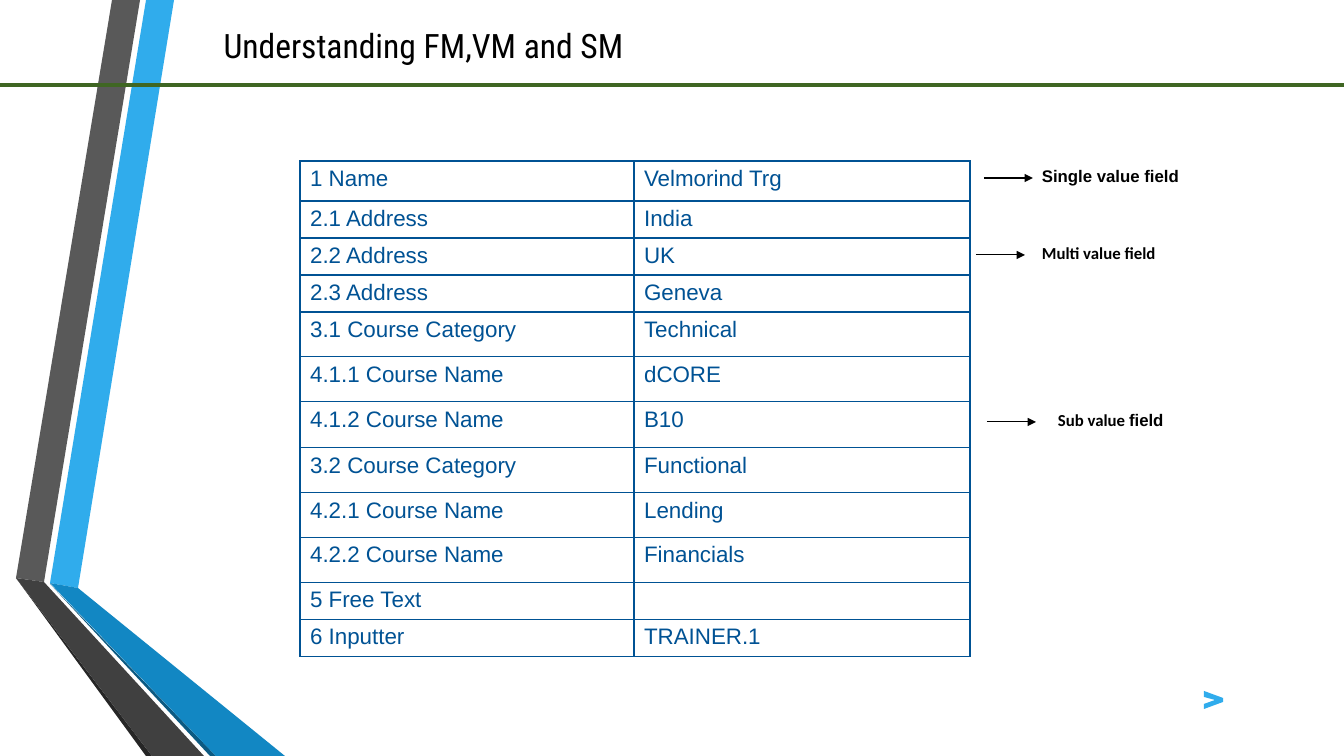
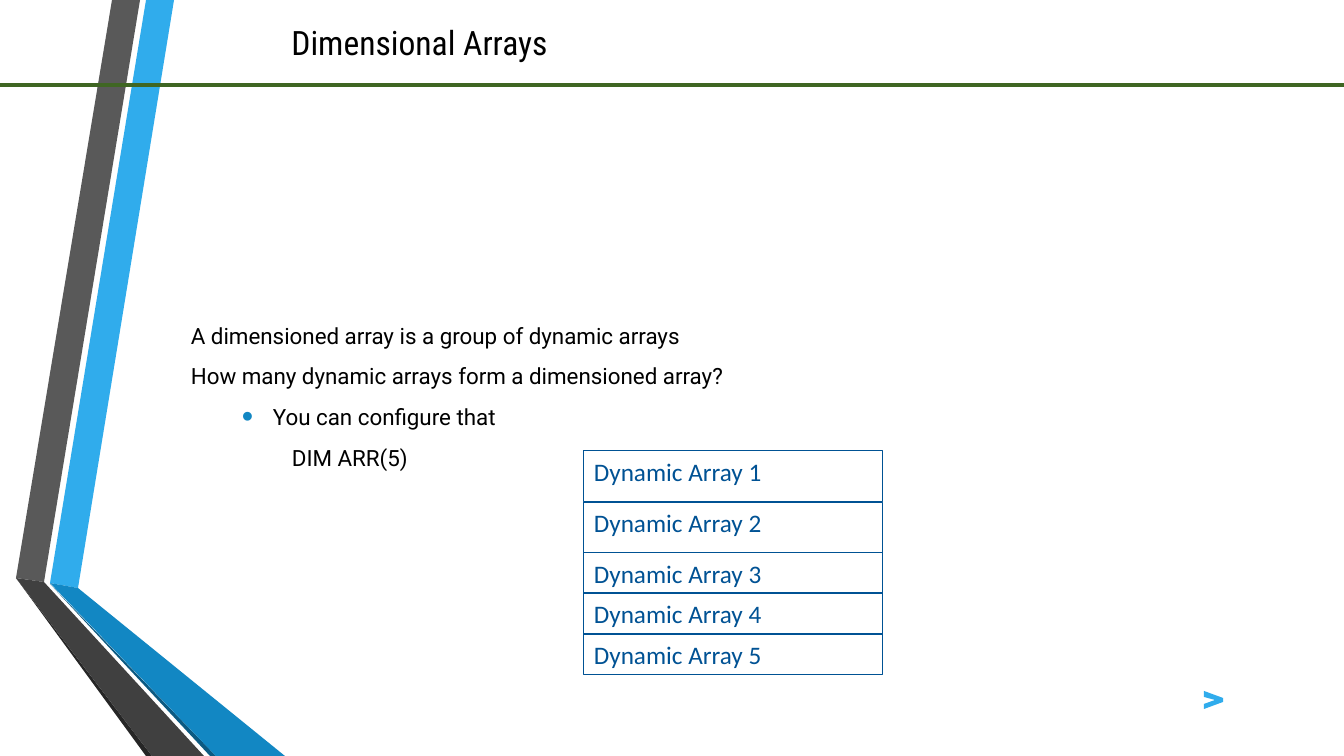
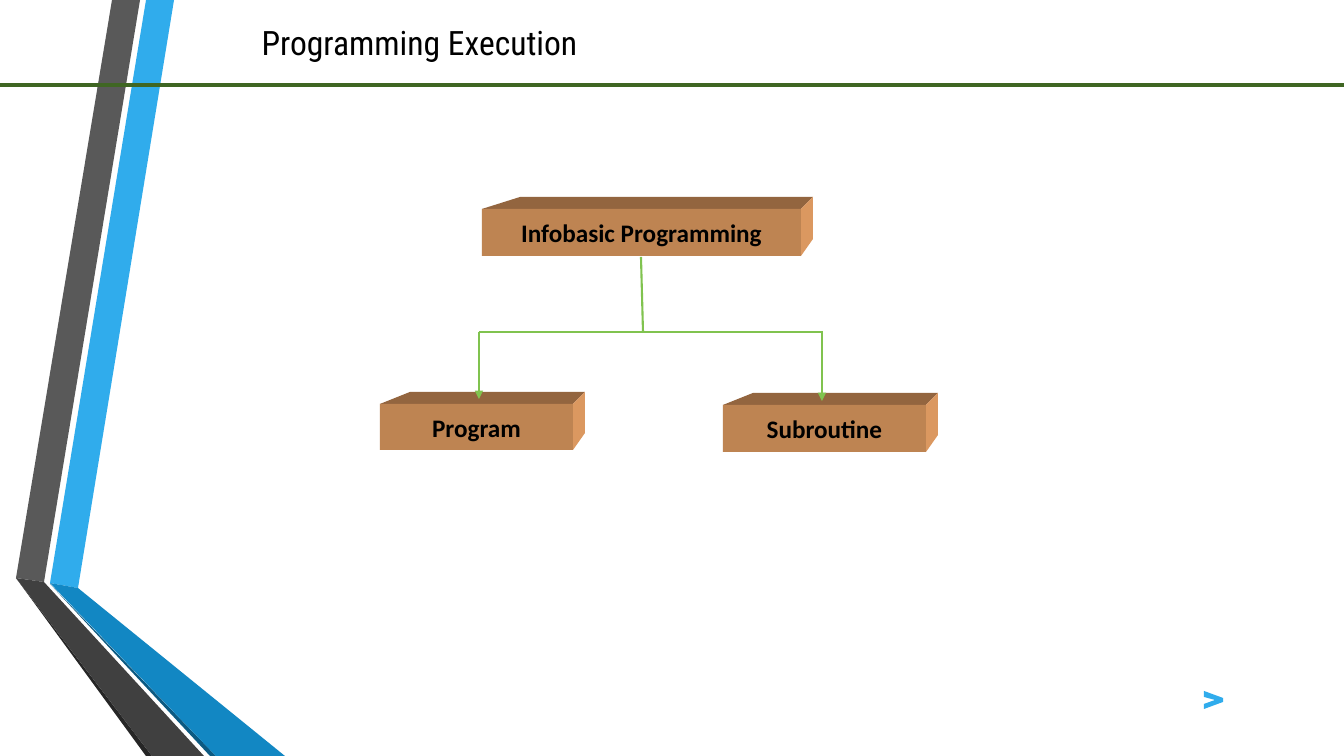
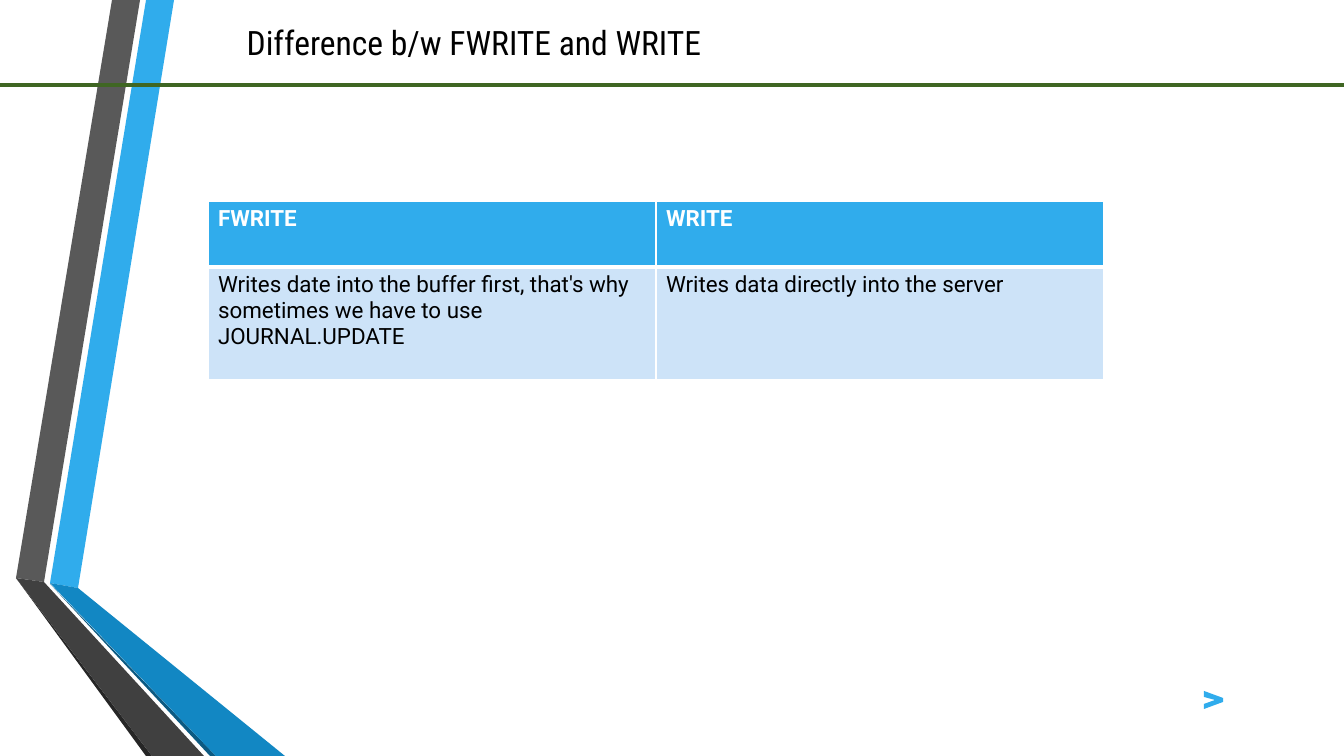
from collections import namedtuple

from lxml.etree import SubElement
from pptx import Presentation
from pptx.dml.color import RGBColor
from pptx.enum.shapes import MSO_CONNECTOR, MSO_SHAPE
from pptx.enum.text import MSO_ANCHOR as Anchor, PP_ALIGN as Align
from pptx.oxml import parse_xml
from pptx.oxml.ns import nsdecls, qn
from pptx.util import Emu, Pt

WIDTH, HEIGHT = 1344, 756
SCALE = 12192000 / WIDTH

BLACK = RGBColor(0x00, 0x00, 0x00)
WHITE = RGBColor(0xFF, 0xFF, 0xFF)
SKY = RGBColor(0x30, 0xAC, 0xEC)
OCEAN = RGBColor(0x12, 0x87, 0xC3)
DEEP_BLUE = RGBColor(0x0C, 0x5A, 0x82)
GRAY = RGBColor(0x59, 0x59, 0x59)
DARK_GRAY = RGBColor(0x40, 0x40, 0x40)
CHARCOAL = RGBColor(0x26, 0x26, 0x26)
RULE_GREEN = RGBColor(0x3F, 0x66, 0x23)
TREE_GREEN = RGBColor(0x80, 0xC3, 0x4F)
NAVY = RGBColor(0x00, 0x52, 0x94)
PALE_BLUE = RGBColor(0xCD, 0xE3, 0xF8)
BLOCK_FRONT = RGBColor(0xBE, 0x84, 0x52)
BLOCK_TOP = RGBColor(0x93, 0x65, 0x3F)
BLOCK_SIDE = RGBColor(0xDB, 0x98, 0x60)

Box = namedtuple("Box", "left top width height")
Style = namedtuple("Style", "font size colour bold", defaults=(False,))

TITLE = Style("Roboto Condensed", 24, BLACK)
BODY = Style("Roboto", 16, BLACK)
HEADER = Style("Roboto", 16, WHITE, True)
RECORD = Style("Arial", 16, NAVY)
ARRAY_ITEM = Style("Calibri", 18, NAVY)
BLOCK_LABEL = Style("Calibri", 18, BLACK, True)
CALLOUT = Style("Calibri", 12, BLACK, True)

RIBBON = [
    (SKY, [(50, 583), (78, 588), (174, 0), (146, 0)]),
    (GRAY, [(140, 0), (112, 0), (16, 578), (44, 582)]),
    (CHARCOAL, [(16, 578), (146, 756), (152, 756)]),
    (DEEP_BLUE, [(50, 584), (210, 756), (216, 756)]),
    (OCEAN, [(50, 583), (216, 756), (285, 756), (78, 588)]),
    (DARK_GRAY, [(204, 756), (44, 582), (16, 578), (152, 756)]),
]
NEXT_MARK = [(0, 13), (11, 9), (0, 6), (0, 0), (19, 7), (19, 11), (0, 18)]

RECORD_ROWS = [
    (40, "1 Name", "Velmorind Trg"),
    (35, "2.1 Address", "India"),
    (35, "2.2 Address", "UK"),
    (35, "2.3 Address", "Geneva"),
    (45, "3.1 Course Category", "Technical"),
    (45, "4.1.1 Course Name", "dCORE"),
    (46, "4.1.2 Course Name", "B10"),
    (45, "3.2 Course Category", "Functional"),
    (45, "4.2.1 Course Name", "Lending"),
    (45, "4.2.2 Course Name", "Financials"),
    (35, "5 Free Text", ""),
    (35, "6 Inputter", "TRAINER.1"),
]
CALLOUTS = [
    (984, 1032, 161, [("Single value field", "Arial")]),
    (976, 1032, 238, [("Multi value field", "Calibri")]),
    (987, 1048, 405, [("Sub value ", "Calibri"), ("field", "Arial")]),
]


def px(value):
    return Emu(round(value * SCALE))


def place(box):
    return [px(value) for value in box]


def style_font(font, style):
    font.name = style.font
    font.size = Pt(style.size)
    font.bold = style.bold
    font.color.rgb = style.colour


def write(frame, text, style, align=Align.LEFT, anchor=Anchor.TOP):
    frame.word_wrap = True
    frame.vertical_anchor = anchor
    paragraph = frame.paragraphs[0]
    paragraph.text = text
    paragraph.alignment = align
    style_font(paragraph.font, style)


def draw_polygon(slide, left, top, points, colour):
    corners = [(left + x, top + y) for x, y in points]
    builder = slide.shapes.build_freeform(*corners[0], scale=SCALE)
    builder.add_line_segments(corners[1:], close=True)
    shape = builder.convert_to_shape()
    shape.shadow.inherit = False
    shape.fill.solid()
    shape.fill.fore_color.rgb = colour
    shape.line.fill.background()


def draw_line(slide, start, end, colour, weight, arrow=False):
    line = slide.shapes.add_connector(
        MSO_CONNECTOR.STRAIGHT, *place(start), *place(end))
    line.line.color.rgb = colour
    line.line.width = Pt(weight)
    properties = line._element.spPr
    if arrow:
        SubElement(properties.find(qn("a:ln")), qn("a:tailEnd"), type="triangle")
    SubElement(properties, qn("a:effectLst"))


def draw_rectangle(slide, box, fill=None, outline=None):
    shape = slide.shapes.add_shape(MSO_SHAPE.RECTANGLE, *place(box))
    shape.shadow.inherit = False
    if fill is None:
        shape.fill.background()
    else:
        shape.fill.solid()
        shape.fill.fore_color.rgb = fill
    if outline is None:
        shape.line.fill.background()
    else:
        shape.line.color.rgb = outline
        shape.line.width = Pt(0.75)
    return shape


def set_borders(cell, colour, weight, bottom_weight):
    properties = cell._tc.get_or_add_tcPr()
    for side in "LRTB":
        width = Pt(bottom_weight if side == "B" else weight)
        properties.append(parse_xml(
            f'<a:ln{side} {nsdecls("a")} w="{width}"><a:solidFill>'
            f'<a:srgbClr val="{colour}"/></a:solidFill></a:ln{side}>'))


def add_grid(slide, box, columns, heights):
    table = slide.shapes.add_table(len(heights), len(columns), *place(box)).table
    table.first_row = False
    table.horz_banding = False
    for column, width in zip(table.columns, columns):
        column.width = px(width)
    for row, height in zip(table.rows, heights):
        row.height = px(height)
    return table


def add_base_slide(presentation, title, title_box):
    slide = presentation.slides.add_slide(presentation.slide_layouts[6])
    for colour, points in RIBBON:
        draw_polygon(slide, 0, 0, points, colour)
    draw_line(slide, (0, 85), (WIDTH, 85), RULE_GREEN, 2.25)
    draw_polygon(slide, 1204, 691, NEXT_MARK, SKY)
    frame = slide.shapes.add_textbox(*place(title_box)).text_frame
    write(frame, title, TITLE, Align.CENTER, Anchor.MIDDLE)
    return slide


def add_record_table(slide, box):
    half = box.width // 2
    table = add_grid(slide, box, [half - 1, box.width - half + 1],
                     [row[0] for row in RECORD_ROWS])
    for row, (_, *texts) in zip(table.rows, RECORD_ROWS):
        for cell, text in zip(row.cells, texts):
            set_borders(cell, NAVY, 1, 1)
            cell.fill.background()
            write(cell.text_frame, text, RECORD)
            if not text:
                cell.margin_top = cell.margin_bottom = 0


def add_callout(slide, arrow_left, label_left, top, runs):
    label = slide.shapes.add_textbox(*place(Box(label_left, top, 190, 30)))
    label.text_frame.word_wrap = True
    paragraph = label.text_frame.paragraphs[0]
    for text, font in runs:
        run = paragraph.add_run()
        run.text = text
        style_font(run.font, CALLOUT._replace(font=font))
    draw_line(slide, (arrow_left, top + 17), (arrow_left + 49, top + 17),
              BLACK, 0.75, arrow=True)


def add_array_notes(slide, box):
    lines = [
        ("A dimensioned array is a group of dynamic arrays", 0, 0, False),
        ("How many dynamic arrays form a dimensioned array?", 0, 0, False),
        ("You can configure that", 82, -31, True),
        ("DIM ARR(5)", 132, -31, False),
    ]
    frame = slide.shapes.add_textbox(*place(box)).text_frame
    frame.word_wrap = True
    for index, (text, margin, indent, bulleted) in enumerate(lines):
        paragraph = frame.add_paragraph() if index else frame.paragraphs[0]
        paragraph.text = text
        paragraph.space_after = Pt(9.8)
        properties = paragraph._p.get_or_add_pPr()
        properties.set("marL", str(px(margin)))
        properties.set("indent", str(px(indent)))
        if bulleted:
            colour = SubElement(properties, qn("a:buClr"))
            SubElement(colour, qn("a:srgbClr"), val=str(OCEAN))
            SubElement(properties, qn("a:buSzPct"), val="145000")
            SubElement(properties, qn("a:buFont"), typeface="Arial")
            SubElement(properties, qn("a:buChar"), char="•")
        else:
            SubElement(properties, qn("a:buNone"))
        style_font(paragraph.font, BODY)


def add_array_stack(slide, left, top, width, heights):
    for number, height in enumerate(heights, 1):
        item = draw_rectangle(slide, Box(left, top, width, height), outline=NAVY)
        write(item.text_frame, f"Dynamic Array {number}", ARRAY_ITEM)
        top += height


def add_block(slide, box, label):
    left, top, width, height = box
    slant = 16 + round(width * 0.07)
    depth = 12
    draw_polygon(slide, left, top, [
        (0, 0), (slant, -depth), (width + depth, -depth), (width, 0)], BLOCK_TOP)
    draw_polygon(slide, left, top, [
        (width, 0), (width + depth, -depth),
        (width + depth, height - 17), (width, height)], BLOCK_SIDE)
    front = draw_rectangle(slide, box, fill=BLOCK_FRONT)
    write(front.text_frame, label, BLOCK_LABEL, Align.CENTER, Anchor.MIDDLE)


def add_program_tree(slide, left, top):
    blocks = [
        (Box(102, 12, 319, 47), "Infobasic Programming"),
        (Box(0, 207, 193, 46), "Program"),
        (Box(343, 208, 203, 47), "Subroutine"),
    ]
    for box, label in blocks:
        add_block(slide, box._replace(left=left + box.left, top=top + box.top), label)
    branches = [
        ((99, 135), (442, 135), False),
        ((261, 60), (263, 134), False),
        ((99, 135), (99, 202), True),
        ((442, 134), (442, 204), True),
    ]
    for start, end, arrow in branches:
        draw_line(slide, (left + start[0], top + start[1]),
                  (left + end[0], top + end[1]), TREE_GREEN, 1.5, arrow)


def add_comparison_table(slide, box):
    rows = [
        (["FWRITE", "WRITE"], HEADER, SKY, 3),
        (["Writes date into the buffer first, that's why sometimes we have to use "
          "JOURNAL.UPDATE", "Writes data directly into the server"],
         BODY, PALE_BLUE, 1),
    ]
    half = box.width // 2
    table = add_grid(slide, box, [half, half], [66, box.height - 66])
    for row, (texts, style, fill, bottom_weight) in zip(table.rows, rows):
        for cell, text in zip(row.cells, texts):
            set_borders(cell, WHITE, 1, bottom_weight)
            cell.fill.solid()
            cell.fill.fore_color.rgb = fill
            write(cell.text_frame, text, style)


def main():
    presentation = Presentation()
    presentation.slide_width = px(WIDTH)
    presentation.slide_height = px(HEIGHT)
    title_box = Box(208, 12, 423, 61)

    slide = add_base_slide(presentation, "Understanding FM,VM and SM",
                           title_box._replace(left=212, top=15))
    add_record_table(slide, Box(300, 161, 670, 486))
    for callout in CALLOUTS:
        add_callout(slide, *callout)

    slide = add_base_slide(presentation, "Dimensional Arrays", title_box)
    add_array_notes(slide, Box(181, 317, 1105, 170))
    add_array_stack(slide, 584, 451, 299, [51, 51, 40, 41, 41])

    slide = add_base_slide(presentation, "Programming Execution", title_box)
    add_program_tree(slide, 380, 197)

    slide = add_base_slide(presentation, "Difference b/w FWRITE and WRITE",
                           title_box._replace(width=532))
    add_comparison_table(slide, Box(208, 201, 896, 179))

    presentation.save("out.pptx")


if __name__ == "__main__":
    main()
